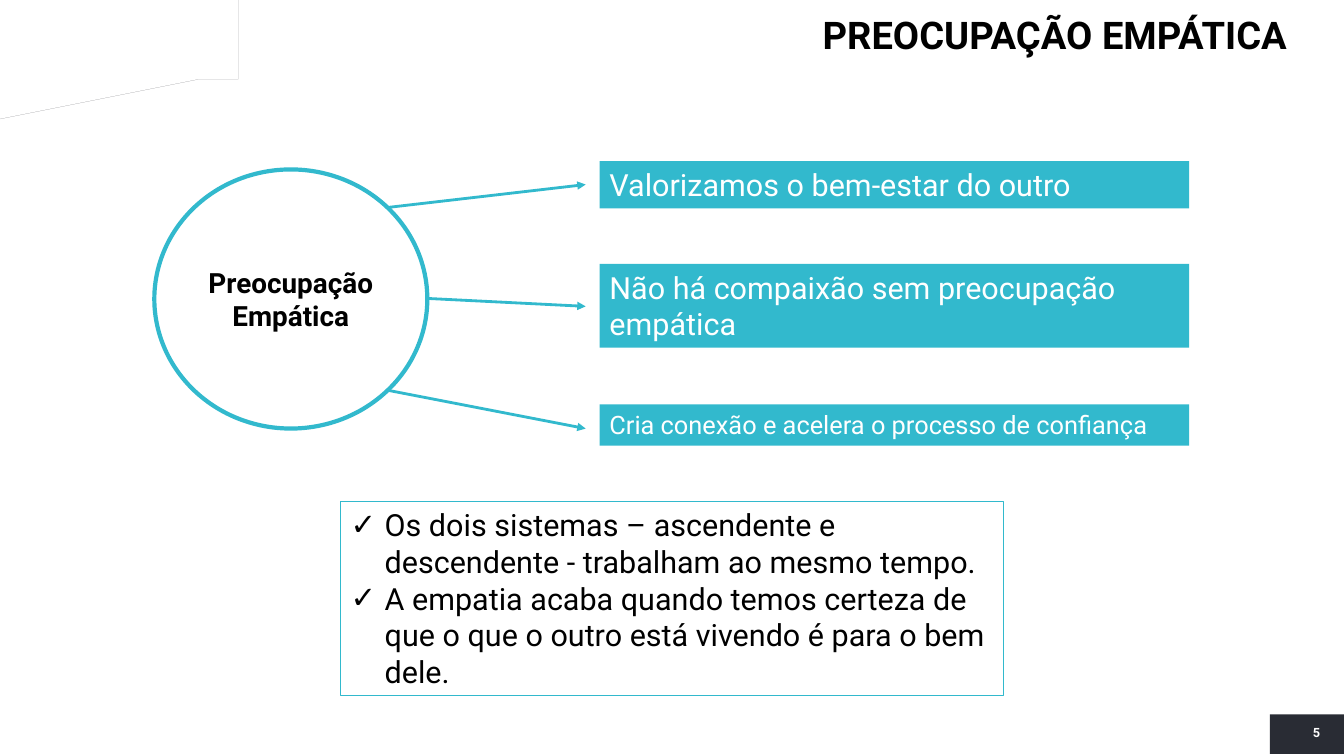
"""Build the slide on empathic concern with its three consequences."""
from lxml.etree import SubElement
from pptx import Presentation
from pptx.dml.color import RGBColor
from pptx.enum.shapes import MSO_CONNECTOR, MSO_SHAPE
from pptx.enum.text import MSO_ANCHOR, MSO_AUTO_SIZE, PP_ALIGN
from pptx.oxml.ns import qn
from pptx.util import Cm, Pt

color = RGBColor.from_string
TEAL, BLACK, WHITE = "32B9CD", "000000", "FFFFFF"


def bend(start, pull_out, pull_in, end, steps=16):
    points = []
    for step in range(steps + 1):
        t = step / steps
        weights = ((1 - t) ** 3, 3 * t * (1 - t) ** 2, 3 * t * t * (1 - t), t ** 3)
        corners = (start, pull_out, pull_in, end)
        points.append(tuple(sum(w * c[axis] for w, c in zip(weights, corners)) for axis in (0, 1)))
    return points


def write(shape, texts, size, ink, bold=False, align=PP_ALIGN.LEFT, bullet=None, spacing=1.0, **frame_format):
    frame = shape.text_frame
    frame_values = {"word_wrap": True, "auto_size": MSO_AUTO_SIZE.NONE, "vertical_anchor": MSO_ANCHOR.TOP}
    for key, value in {**frame_values, **frame_format}.items():
        setattr(frame, key, value)
    for number, text in enumerate(texts):
        paragraph = frame.add_paragraph() if number else frame.paragraphs[0]
        if bullet:
            properties = paragraph._p.get_or_add_pPr()
            properties.set("marL", str(Cm(0.86)))
            properties.set("indent", str(-Cm(0.86)))
            SubElement(properties, qn("a:buChar")).set("char", bullet)
        for key, value in {"alignment": align, "line_spacing": spacing, "space_before": Pt(0)}.items():
            setattr(paragraph, key, value)
        run = paragraph.add_run()
        run.text = text
        for key, value in {"name": "Roboto", "size": Pt(size), "bold": bold}.items():
            setattr(run.font, key, value)
        run.font.color.rgb = color(ink)


presentation = Presentation()
presentation.slide_width, presentation.slide_height = Cm(33.87), Cm(19.05)
slide = presentation.slides.add_slide(presentation.slide_layouts[1])
shapes = slide.shapes

page_corner = [
    (33.87, 17.5), *bend((32.82, 17.75), (32.18, 17.93), (31.75, 18.34), (31.75, 18.8)),
    (31.75, 19.05), (33.87, 19.05),
]
top_ribbon = [
    (0, 3.35), (4.75, 2.06), *bend((4.88, 2.06), (5.54, 1.93), (6.05, 1.37), (6.05, 0.76)),
    (6.05, 0), (5.94, 0), (5.94, 0.3), (4.75, 0), (4.65, 0), (5.94, 0.33),
    *bend((5.94, 0.76), (5.94, 1.32), (5.49, 1.83), (4.85, 1.98)), (4.75, 2.03), (0, 3.33),
]
for outline, tone in ((page_corner, "292C34"), (top_ribbon, "3B3D42")):
    builder = shapes.build_freeform(*outline[0], scale=Cm(1))
    builder.add_line_segments(outline[1:], close=True)
    ornament = builder.convert_to_shape()
    ornament.shadow.inherit = False
    ornament.fill.solid()
    ornament.fill.fore_color.rgb = color(tone)
    ornament.line.fill.background()

page_number = shapes.add_textbox(Cm(31.75), Cm(18.24), Cm(1.57), Cm(0.53))
write(page_number, ["5"], 9.1, WHITE, bold=True, align=PP_ALIGN.RIGHT,
      margin_left=Cm(0.05), margin_right=Cm(0.05), margin_top=Cm(0.03), margin_bottom=Cm(0.03))

heading = shapes.title
for key, value in {"left": 7.14, "top": 0.28, "width": 25.55, "height": 1.93}.items():
    setattr(heading, key, Cm(value))
write(heading, ["PREOCUPAÇÃO EMPÁTICA"], 27.2, BLACK, bold=True, align=PP_ALIGN.RIGHT, spacing=0.9)

concept = shapes.add_shape(MSO_SHAPE.OVAL, Cm(3.89), Cm(4.27), Cm(6.88), Cm(6.53))
concept.shadow.inherit = False
concept.fill.background()
concept.line.color.rgb = color(TEAL)
concept.line.width = Pt(3)
write(concept, ["Preocupação Empática"], 19.9, BLACK, bold=True, align=PP_ALIGN.CENTER,
      vertical_anchor=MSO_ANCHOR.MIDDLE)

consequences = [
    ("Valorizamos o bem-estar do outro", 21.8, 4.06, 1.19, (9.75, 5.23), 4.65),
    ("Não há compaixão sem preocupação empática", 21.8, 6.65, 2.11, (10.77, 7.52), 7.72),
    ("Cria conexão e acelera o processo de confiança", 18.1, 10.19, 1.04, (9.75, 9.83), 10.8),
]
for text, size, top, height, (start_x, start_y), end_y in consequences:
    arrow = shapes.add_connector(MSO_CONNECTOR.STRAIGHT, Cm(start_x), Cm(start_y), Cm(14.76), Cm(end_y))
    arrow.line.color.rgb = color(TEAL)
    arrow.line.width = Pt(2)
    SubElement(arrow.get_or_add_ln(), qn("a:tailEnd")).set("type", "triangle")
    SubElement(arrow._element.spPr, qn("a:effectLst"))

    consequence = shapes.add_shape(MSO_SHAPE.RECTANGLE, Cm(15.11), Cm(top), Cm(14.86), Cm(height))
    consequence.shadow.inherit = False
    consequence.fill.solid()
    consequence.fill.fore_color.rgb = color(TEAL)
    consequence.line.fill.background()
    write(consequence, [text], size, WHITE)

conclusions = slide.placeholders[1]
for key, value in {"left": 8.58, "top": 12.63, "width": 16.71, "height": 4.9}.items():
    setattr(conclusions, key, Cm(value))
conclusions.line.color.rgb = color(TEAL)
conclusions.line.width = Pt(0.75)
write(conclusions, [
    "Os dois sistemas – ascendente e descendente - trabalham ao mesmo tempo.",
    "A empatia acaba quando temos certeza de que o que o outro está vivendo é para o bem dele.",
], 21.8, BLACK, bullet="✓")

presentation.save("out.pptx")
